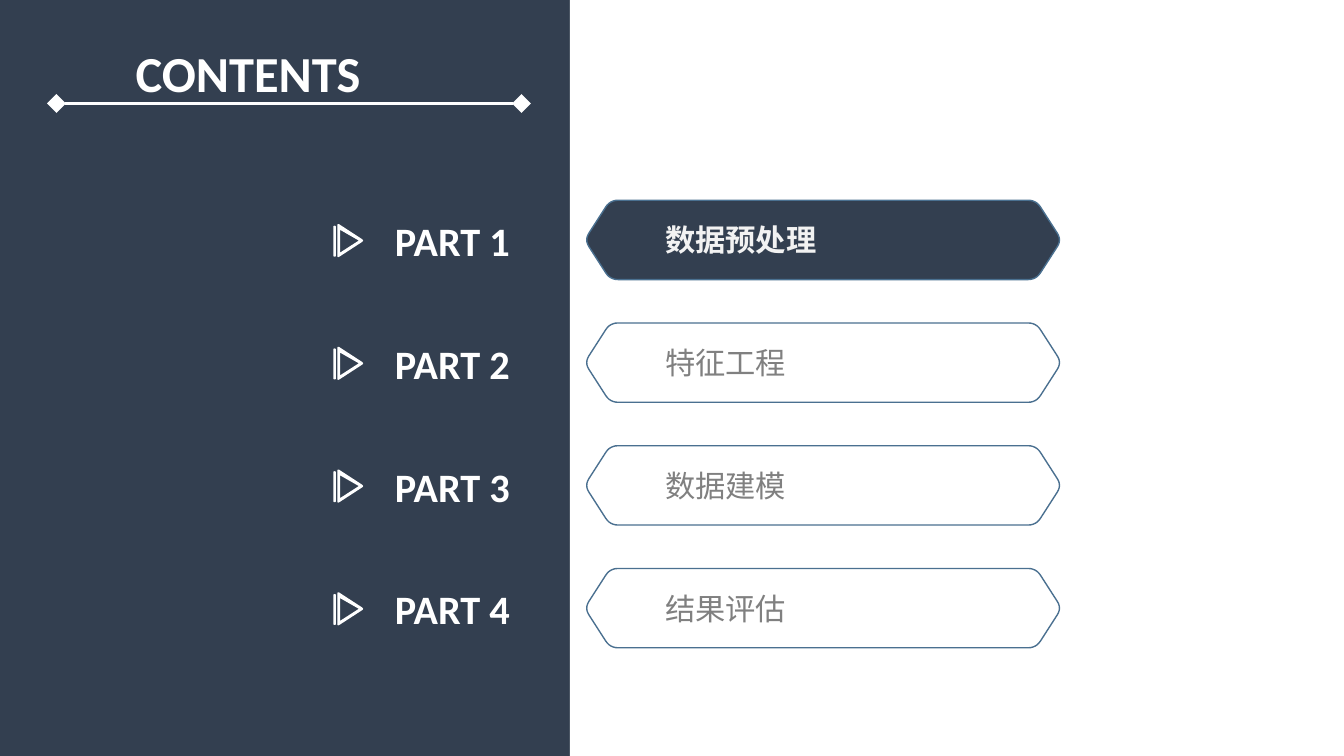
import math
from pptx import Presentation
from pptx import util as u
from pptx.dml import color
from pptx.enum import shapes, text
from pptx.oxml import ns
from lxml import etree

NAVY, WHITE, STEEL = "333F50", "FFFFFF", "4A7090"
PALE, GREY = "F2F2F2", "808080"
LATIN, CHINESE = "Calibri", "Noto Sans CJK SC"
PARTS = ["数据预处理", "特征工程", "数据建模", "结果评估"]


def rgb(value):
    """Turn a hex string into a colour."""
    return color.RGBColor.from_string(value)


def paint(shape, fill=None, line=None, weight=0.75):
    """Set the fill and line of a shape and drop its shadow."""
    shape.shadow.inherit = False
    if fill:
        shape.fill.solid()
        shape.fill.fore_color.rgb = rgb(fill)
    else:
        shape.fill.background()
    if line:
        shape.line.color.rgb = rgb(line)
        shape.line.width = u.Pt(weight)
    else:
        shape.line.fill.background()


def add_text(slide, words, box, size, ink, font=LATIN, bold=False, wrap=True):
    """Place one line of text, centred vertically in its box."""
    label = slide.shapes.add_textbox(*map(u.Inches, box))
    frame = label.text_frame
    frame.word_wrap = wrap
    frame.vertical_anchor = text.MSO_ANCHOR.MIDDLE
    run = frame.paragraphs[0].add_run()
    run.text = words
    run.font.name, run.font.size, run.font.bold = font, u.Pt(size), bold
    run.font.color.rgb = rgb(ink)
    east_asian = etree.SubElement(run.font._element, ns.qn("a:ea"))
    east_asian.set("typeface", font)


def add_outline(slide, contours, left, top, **look):
    """Draw closed contours, given in inches from left and top, as one shape."""
    scaled = [[(u.Inches(x), u.Inches(y)) for x, y in points] for points in contours]
    builder = slide.shapes.build_freeform(*scaled[0][0])
    for number, points in enumerate(scaled):
        if number:
            builder.move_to(*points[0])
        builder.add_line_segments(points[1:], close=True)
    paint(builder.convert_to_shape(u.Inches(left), u.Inches(top)), **look)


def rounded(corners, trim, steps=6):
    """Return the polygon's points with each corner replaced by a small curve."""
    points = []
    for i, (x, y) in enumerate(corners):
        ends = []
        for nx, ny in (corners[i - 1], corners[(i + 1) % len(corners)]):
            share = trim / math.hypot(nx - x, ny - y)
            ends.append((x + (nx - x) * share, y + (ny - y) * share))
        (ax, ay), (bx, by) = ends
        for step in range(steps + 1):
            t = step / steps
            a, c, b = (1 - t) ** 2, 2 * t * (1 - t), t * t
            points.append((a * ax + c * x + b * bx, a * ay + c * y + b * by))
    return points


def add_play_icon(slide, left, top):
    """Draw a hollow triangle with a bar on its left."""
    triangle = rounded([(0.03, -0.02), (0.23, 0.11), (0.03, 0.24)], 0.02)
    hollow = [(0.05, 0.03), (0.05, 0.2), (0.19, 0.11)]
    bar = rounded([(0, 0), (0.02, 0), (0.02, 0.23), (0, 0.23)], 0.01)
    add_outline(slide, [triangle, hollow, bar], left, top, fill=WHITE)


def add_banner(slide, left, top, width, height, fill):
    """Draw a six-sided banner with softened corners."""
    tip, shoulder = 0.01, 0.18
    corners = [
        (-tip, height / 2), (shoulder, 0), (width - shoulder, 0),
        (width + tip, height / 2), (width - shoulder, height), (shoulder, height),
    ]
    add_outline(slide, [rounded(corners, 0.06)], left, top, fill=fill, line=STEEL)


def add_header(slide, left, top, width, height):
    """Place the heading above a rule with diamond ends."""
    add_text(slide, "CONTENTS", (left + 0.49, top, 3.69, 0.56), 27, WHITE, bold=True)
    bottom = u.Inches(top + height)
    rule = slide.shapes.add_connector(
        shapes.MSO_CONNECTOR.STRAIGHT,
        u.Inches(left), bottom, u.Inches(left + width), bottom)
    rule.line.color.rgb = rgb(WHITE)
    rule.line.width = u.Pt(2)
    for name in ("a:headEnd", "a:tailEnd"):
        end = etree.SubElement(rule.line._get_or_add_ln(), ns.qn(name))
        for key, value in (("type", "diamond"), ("w", "lg"), ("len", "lg")):
            end.set(key, value)
    etree.SubElement(rule._element.spPr, ns.qn("a:effectLst"))


def add_part(slide, number, topic, left, top, width, height, active):
    """Place one contents row: icon, part number and banner with its topic."""
    banner_left = left + 1.88
    add_banner(slide, banner_left, top, width - 1.88, height, NAVY if active else None)
    add_play_icon(slide, left, top + 0.19)
    add_text(slide, f"PART {number}", (left + 0.36, top + 0.07, 1.52, 0.46),
             21.6, WHITE, bold=True)
    add_text(slide, topic, (banner_left + 0.49, top + 0.11, 2.48, 0.37),
             16.2, PALE if active else GREY, font=CHINESE, bold=active)


def main():
    """Build the contents slide."""
    deck = Presentation()
    deck.slide_width = u.Inches(10)
    deck.slide_height = deck.slide_width * 9 // 16
    slide = deck.slides.add_slide(deck.slide_layouts[6])
    slide.background.fill.solid()
    slide.background.fill.fore_color.rgb = rgb(NAVY)
    panel = slide.shapes.add_shape(
        shapes.MSO_SHAPE.RECTANGLE,
        u.Inches(4.24), 0, u.Inches(5.76), deck.slide_height)
    paint(panel, fill=WHITE)
    add_header(slide, 0.42, 0.26, 3.46, 0.51)
    first, last = 1.49, 4.23
    pitch = (last - first) / (len(PARTS) - 1)
    for row, topic in enumerate(PARTS):
        add_part(slide, row + 1, topic, 2.48, first + row * pitch, 5.41, 0.59,
                 active=row == 0)
    deck.save("out.pptx")


if __name__ == "__main__":
    main()
